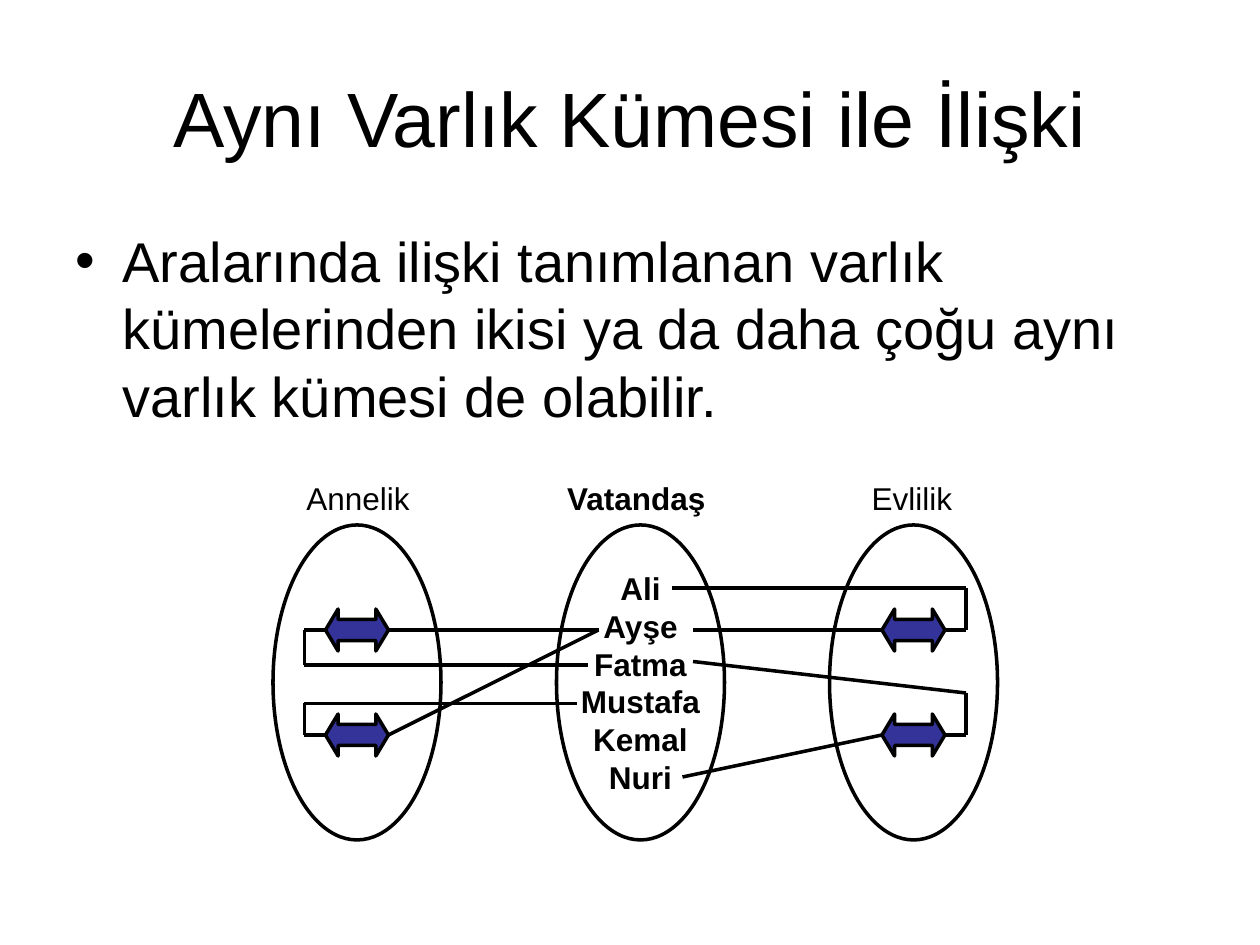
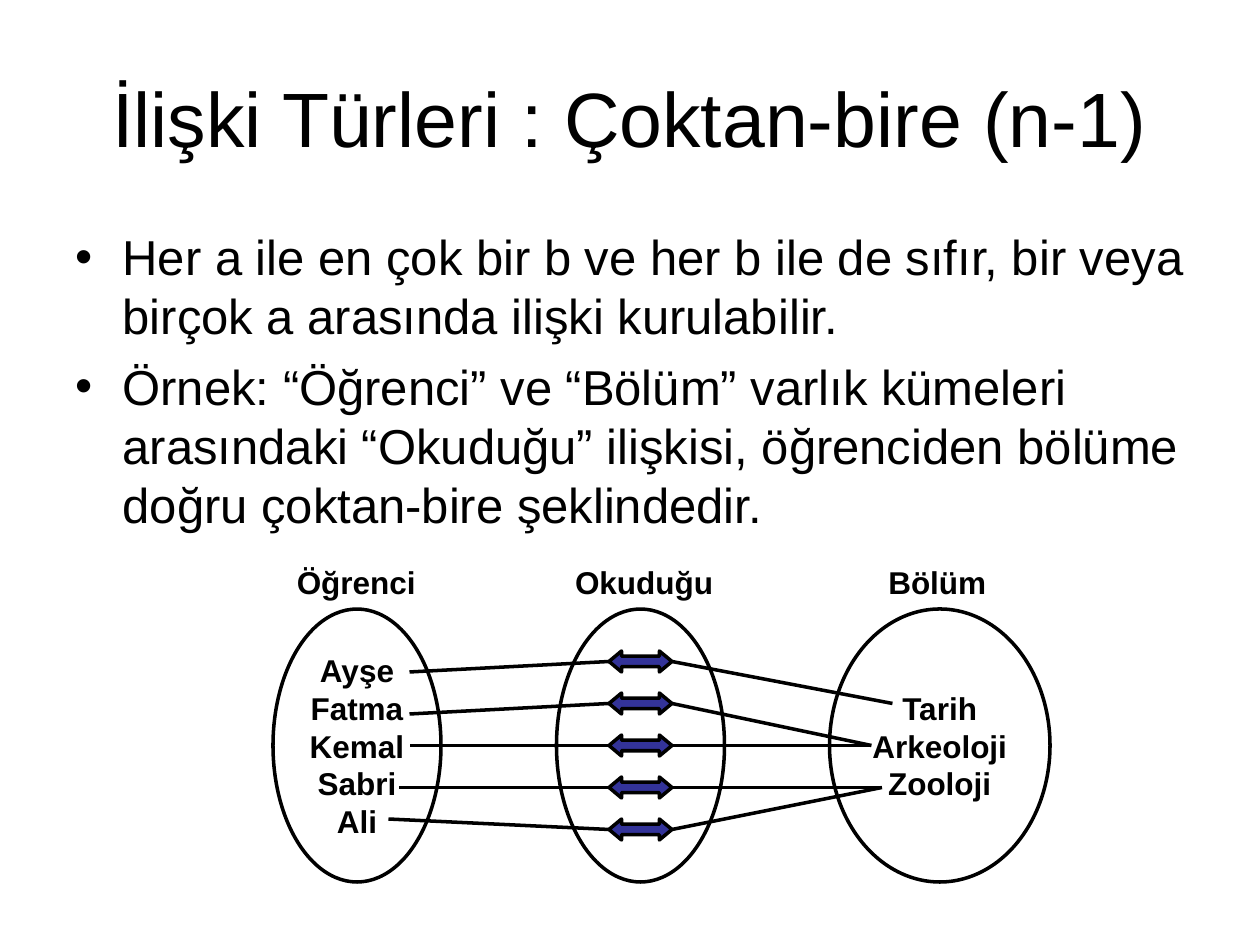
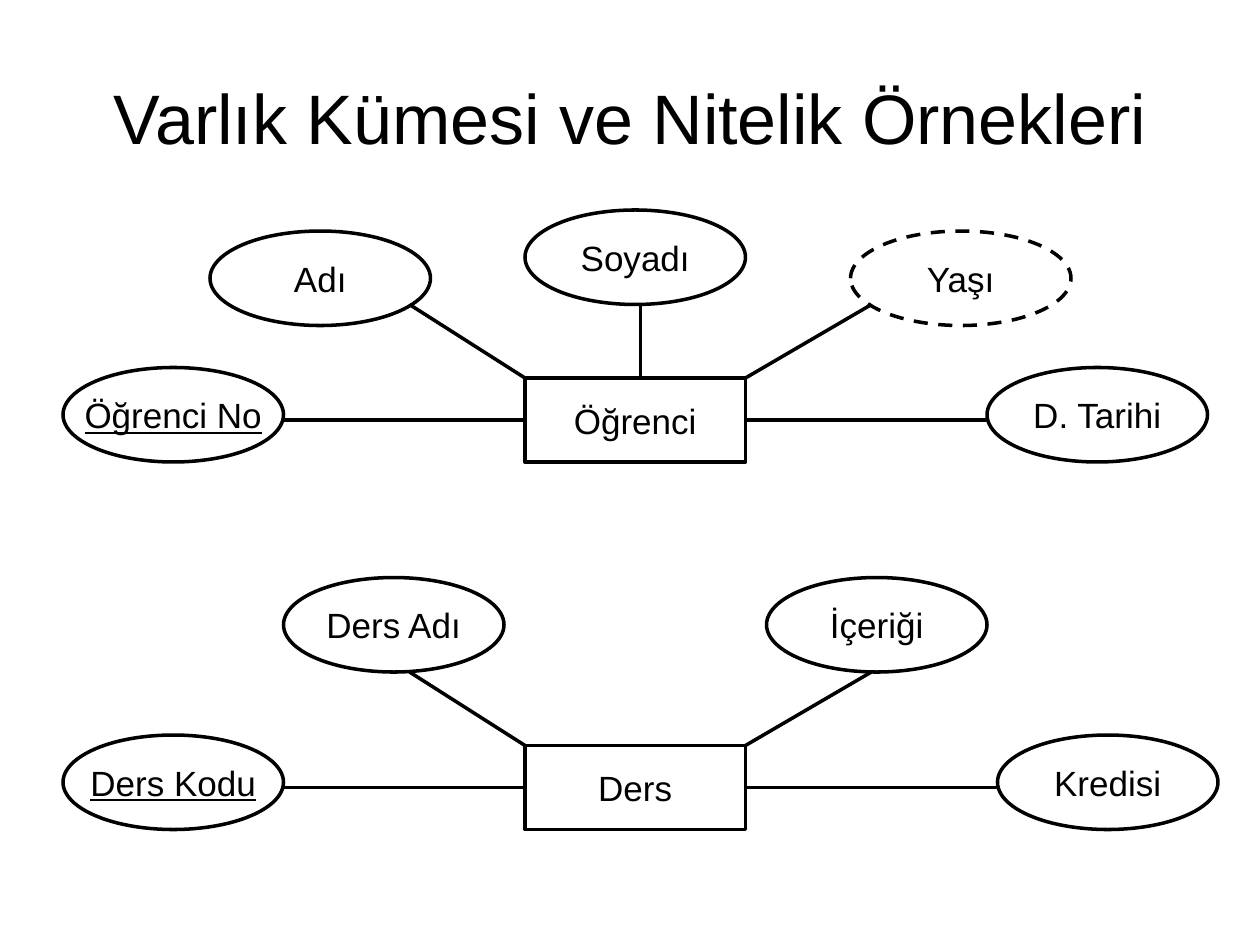
"""Build three slides on entity sets, relationships and attributes."""
import lxml.etree
import pptx
import pptx.dml.color
import pptx.enum.dml
import pptx.enum.shapes
import pptx.enum.text
import pptx.oxml.ns
import pptx.util

Pt = pptx.util.Pt
BLACK = pptx.dml.color.RGBColor(0x00, 0x00, 0x00)
INDIGO = pptx.dml.color.RGBColor(0x33, 0x33, 0x99)
SHAPE = pptx.enum.shapes.MSO_SHAPE
ANCHOR = pptx.enum.text.MSO_ANCHOR
CENTER = pptx.enum.text.PP_ALIGN.CENTER


def add_xml(parent, tag, **attrs):
    """Append a DrawingML element and return it."""
    return lxml.etree.SubElement(parent, pptx.oxml.ns.qn(tag), attrs)


class Deck:
    """Hold the shared style and the current slide."""

    font = "Arial"
    line_width = 2

    def __init__(self):
        """Start an empty 10 by 7.5 inch presentation."""
        self.prs = pptx.Presentation()
        self.prs.slide_width, self.prs.slide_height = Pt(720), Pt(540)
        self.s = None

    def slide(self, title, size=44):
        """Add a blank slide with its title."""
        self.s = self.prs.slides.add_slide(self.prs.slide_layouts[6])
        tf = self.text_box(36, 21.6, 648, 90)
        tf.vertical_anchor = ANCHOR.MIDDLE
        p = tf.paragraphs[0]
        p.alignment = CENTER
        self.run(p, title, size)

    def text_box(self, x, y, w, h):
        """Add a wrapping text box and return its text frame."""
        tf = self.s.shapes.add_textbox(Pt(x), Pt(y), Pt(w), Pt(h)).text_frame
        tf.word_wrap = True
        return tf

    def run(self, p, text, size, bold=False, underline=False):
        """Add one styled run to a paragraph."""
        r = p.add_run()
        r.text = text
        r.font.name, r.font.size = self.font, Pt(size)
        r.font.bold, r.font.underline = bold, underline
        r.font.color.rgb = BLACK

    def paragraphs(self, tf, count):
        """Return the first paragraph and as many new ones as needed."""
        return [tf.paragraphs[0]] + [tf.add_paragraph() for _ in range(count - 1)]

    def bullets(self, items, size, height, gap=7):
        """Add the bulleted body text."""
        tf = self.text_box(36, 126, 648, height)
        for i, (p, text) in enumerate(zip(self.paragraphs(tf, len(items)), items)):
            pPr = p._p.get_or_add_pPr()
            pPr.set("marL", str(Pt(27)))
            pPr.set("indent", str(Pt(-27)))
            add_xml(pPr, "a:buFont", typeface=self.font)
            add_xml(pPr, "a:buChar", char="•")
            if i:
                p.space_before = Pt(gap)
            self.run(p, text, size)

    def headings(self, x, y, w, labels, stops):
        """Add a row of set names, each after the first at a tab stop."""
        p = self.text_box(x, y, w, 28.8).paragraphs[0]
        tabs = add_xml(p._p.get_or_add_pPr(), "a:tabLst")
        for stop in stops:
            add_xml(tabs, "a:tab", pos=str(Pt(stop)), algn="l")
        for i, (text, bold) in enumerate(labels):
            self.run(p, "\t" + text if i else text, 18, bold)

    def shape(self, kind, x, y, w, h, lines=(), size=20, bold=False,
              underline=False, dashed=False, fill=None):
        """Add an outlined shape with centred lines of text."""
        sp = self.s.shapes.add_shape(kind, Pt(x), Pt(y), Pt(w), Pt(h))
        sp.shadow.inherit = False
        if fill is None:
            sp.fill.background()
        else:
            sp.fill.solid()
            sp.fill.fore_color.rgb = fill
        sp.line.color.rgb, sp.line.width = BLACK, Pt(self.line_width)
        if dashed:
            sp.line.dash_style = pptx.enum.dml.MSO_LINE.DASH
        if lines:
            tf = sp.text_frame
            tf.word_wrap = False
            tf.vertical_anchor = ANCHOR.MIDDLE
            for p, text in zip(self.paragraphs(tf, len(lines)), lines):
                p.alignment = CENTER
                self.run(p, text, size, bold, underline)
        return sp

    def entity_set(self, x, y, w, h, members=()):
        """Add a tall ellipse listing the members of a set."""
        self.shape(SHAPE.OVAL, x, y, w, h, members, 18, True)

    def link(self, x, y, h, head):
        """Add a double arrow that stands for one relationship."""
        sp = self.shape(SHAPE.LEFT_RIGHT_ARROW, x, y, 36, h, fill=INDIGO)
        sp.adjustments[0], sp.adjustments[1] = 0.5, head

    def attribute(self, x, y, text, **style):
        """Add an attribute ellipse."""
        self.shape(SHAPE.OVAL, x, y, 126, 54, [text], **style)

    def entity(self, x, y, text):
        """Add an entity rectangle."""
        return self.shape(SHAPE.RECTANGLE, x, y, 126, 48, [text])

    def line(self, start, end, target=None, side=None):
        """Add a straight line, joined to a side of target if one is given."""
        c = self.s.shapes.add_connector(
            pptx.enum.shapes.MSO_CONNECTOR.STRAIGHT,
            *(Pt(v) for v in (*start, *end)))
        c.line.color.rgb, c.line.width = BLACK, Pt(self.line_width)
        add_xml(c._element.spPr, "a:effectLst")
        if target is not None:
            c.end_connect(target, side)

    def polyline(self, *points):
        """Add a line between each pair of neighbouring points."""
        for start, end in zip(points, points[1:]):
            self.line(start, end)


def same_set_slide(deck):
    """Show relationships within one entity set."""
    deck.slide("Aynı Varlık Kümesi ile İlişki")
    deck.bullets(["Aralarında ilişki tanımlanan varlık kümelerinden ikisi ya da "
                  "daha çoğu aynı varlık kümesi de olabilir."], 32, 356.4)
    citizens = ["Ali", "Ayşe", "Fatma", "Mustafa", "Kemal", "Nuri"]
    for x, members in ((156, ()), (318, citizens), (474, ())):
        deck.entity_set(x, 300, 96, 180, members)
    for x in (186, 504):
        for y in (348, 408):
            deck.link(x, y, 24, 0.3)
    deck.polyline((342, 360), (222, 360))
    deck.polyline((186, 360), (174, 360), (174, 380), (336, 380))
    deck.polyline((342, 360), (222, 420))
    deck.polyline((186, 420), (174, 420), (174, 402), (330, 402))
    deck.polyline((504, 360), (396, 360))
    deck.polyline((540, 360), (552, 360), (552, 336), (384, 336))
    deck.polyline((504, 420), (390, 444))
    deck.polyline((540, 420), (552, 420), (552, 396), (396, 378))
    deck.headings(168, 270, 400, [("Annelik", False), ("Vatandaş", True),
                                  ("Evlilik", False)], (149, 323))


def many_to_one_slide(deck):
    """Show a many-to-one relationship."""
    deck.slide("İlişki Türleri : Çoktan-bire (n-1)")
    deck.bullets(["Her a ile en çok bir b ve her b ile de sıfır, bir veya birçok "
                  "a arasında ilişki kurulabilir.",
                  "Örnek: “Öğrenci” ve “Bölüm” varlık kümeleri arasındaki "
                  "“Okuduğu” ilişkisi, öğrenciden bölüme doğru çoktan-bire "
                  "şeklindedir."], 28, 198)
    students = ["Ayşe", "Fatma", "Kemal", "Sabri", "Ali"]
    departments = ["Tarih", "Arkeoloji", "Zooloji"]
    for x, w, members in ((156, 96, students), (318, 96, ()),
                          (474, 126, departments)):
        deck.entity_set(x, 348, w, 156, members)
    student_ends = [(234, 384), (234, 408), (234, 426), (228, 450), (222, 468)]
    history, archaeology, zoology = (510, 402), (498, 426), (504, 450)
    department_ends = [history, archaeology, archaeology, zoology, zoology]
    for i, (student, department) in enumerate(zip(student_ends, department_ends)):
        y = 378 + 24 * i
        deck.link(348, y - 6, 12, 0.6)
        deck.line((348, y), student)
        deck.line((384, y), department)
    deck.headings(162.5, 318, 430, [("Öğrenci", True), ("Okuduğu", True),
                                    ("Bölüm", True)], (159, 338))


def attributes_slide(deck):
    """Show two entity sets with their attributes."""
    deck.slide("Varlık Kümesi ve Nitelik Örnekleri", 40)
    student = deck.entity(300, 216, "Öğrenci")
    deck.attribute(36, 210, "Öğrenci No", underline=True)
    deck.attribute(120, 132, "Adı")
    deck.attribute(300, 120, "Soyadı")
    deck.attribute(486, 132, "Yaşı", dashed=True)
    deck.attribute(564, 210, "D. Tarihi")
    deck.line((366, 174), (366, 216))
    course = deck.entity(300, 426, "Ders")
    deck.attribute(36, 420, "Ders Kodu", underline=True)
    deck.attribute(162, 330, "Ders Adı")
    deck.attribute(438, 330, "İçeriği")
    deck.attribute(570, 420, "Kredisi")
    for entity, top, right in ((student, 216, 564), (course, 426, 570)):
        deck.line((162, top + 24), (300, top + 24), entity, 1)
        deck.line((234, top - 42), (300, top))
        deck.line((498, top - 42), (426, top))
        deck.line((right, top + 24), (426, top + 24), entity, 3)


def main():
    """Build and save the presentation."""
    deck = Deck()
    same_set_slide(deck)
    many_to_one_slide(deck)
    attributes_slide(deck)
    deck.prs.save("out.pptx")


if __name__ == "__main__":
    main()
